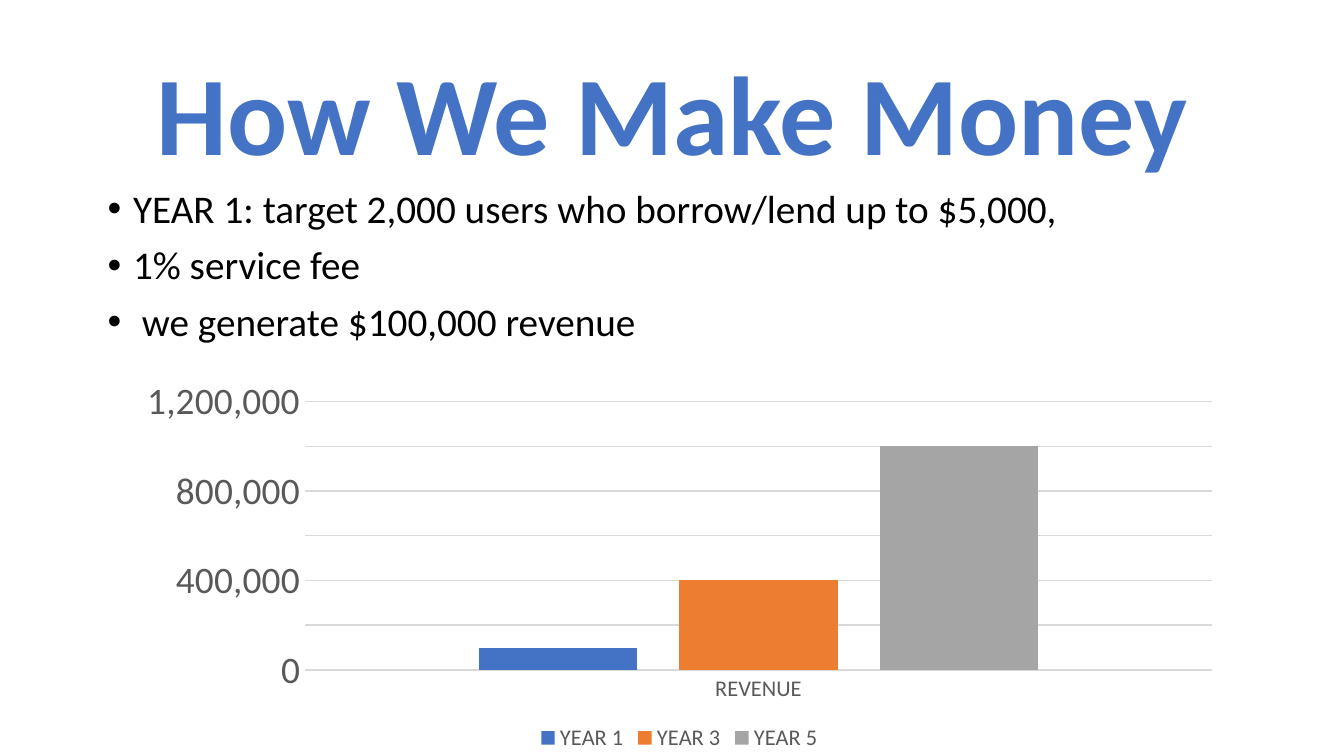
"""Build the revenue model slide with a bulleted list and a column chart."""
import pptx
import pptx.chart.data
import pptx.dml.color
import pptx.enum.chart
import pptx.enum.text
import pptx.oxml
import pptx.util

Inches = pptx.util.Inches
Pt = pptx.util.Pt
RGBColor = pptx.dml.color.RGBColor

TITLE = "How We Make Money"
BULLETS = [
    "YEAR 1: target 2,000 users who borrow/lend up to $5,000,",
    "1% service fee",
    " we generate $100,000 revenue",
]
FONT = "Calibri"
BLUE = RGBColor(0x44, 0x72, 0xC4)
ORANGE = RGBColor(0xED, 0x7D, 0x31)
GRAY = RGBColor(0xA5, 0xA5, 0xA5)
BLACK = RGBColor(0, 0, 0)
LABEL = RGBColor(0x59, 0x59, 0x59)
RULE = RGBColor(0xD9, 0xD9, 0xD9)
REVENUE = [
    ("YEAR 1", 100000, BLUE),
    ("YEAR 3", 400000, ORANGE),
    ("YEAR 5", 1000000, GRAY),
]


def set_font(font, size, color, bold=False):
    font.name = FONT
    font.size = Pt(size)
    font.color.rgb = color
    font.bold = bold


def place(sp, left, top, width, height):
    sp.left, sp.top = Inches(left), Inches(top)
    sp.width, sp.height = Inches(width), Inches(height)


def set_line(line):
    line.color.rgb = RULE
    line.width = Pt(0.75)


def add_bullet(p):
    p_pr = p._p.get_or_add_pPr()
    p_pr.set("marL", str(Inches(0.19)))
    p_pr.set("indent", str(-Inches(0.19)))
    for tag, key, value in [("buFont", "typeface", "Arial"), ("buChar", "char", "•")]:
        child = pptx.oxml.parse_xml(
            f'<a:{tag} xmlns:a="http://schemas.openxmlformats.org/drawingml/2006/main" {key}="{value}"/>'
        )
        p_pr.insert_element_before(child, "a:tabLst", "a:defRPr", "a:extLst")


def add_title(s):
    sp = s.shapes.title
    place(sp, 0.69, 0.3, 8.62, 1.09)
    tf = sp.text_frame
    tf.text = TITLE
    tf.auto_size = pptx.enum.text.MSO_AUTO_SIZE.NONE
    tf.vertical_anchor = pptx.enum.text.MSO_ANCHOR.BOTTOM
    p = tf.paragraphs[0]
    p.alignment = pptx.enum.text.PP_ALIGN.CENTER
    p.line_spacing = 0.9
    set_font(p.font, 60, BLUE, bold=True)


def add_list(s):
    sp = s.placeholders[1]
    place(sp, 0.7, 1.36, 8.62, 3.57)
    tf = sp.text_frame
    tf.text = "\n".join(BULLETS)
    tf.auto_size = pptx.enum.text.MSO_AUTO_SIZE.NONE
    for p in tf.paragraphs:
        p.line_spacing = 0.9
        p.space_before = Pt(7.5)
        set_font(p.font, 21, BLACK)
        add_bullet(p)


def add_revenue_chart(s):
    data = pptx.chart.data.CategoryChartData(number_format="#,##0")
    data.categories = ["REVENUE"]
    for name, value, _ in REVENUE:
        data.add_series(name, [value])
    chart = s.shapes.add_chart(
        pptx.enum.chart.XL_CHART_TYPE.COLUMN_CLUSTERED,
        Inches(0.93), Inches(2.76), Inches(8.25), Inches(2.87), data,
    ).chart
    set_font(chart.font, 10, BLACK)
    chart.has_title = False
    chart.has_legend = True
    chart.legend.position = pptx.enum.chart.XL_LEGEND_POSITION.BOTTOM
    chart.legend.include_in_layout = False
    set_font(chart.legend.font, 12, LABEL)

    plot = chart.plots[0]
    plot.gap_width, plot.overlap = 219, -27
    plot.vary_by_categories = False
    for series, (_, _, color) in zip(plot.series, REVENUE):
        series.format.fill.solid()
        series.format.fill.fore_color.rgb = color

    category, value = chart.category_axis, chart.value_axis
    for axis, size in [(category, 12), (value, 20)]:
        axis.major_tick_mark = pptx.enum.chart.XL_TICK_MARK.NONE
        axis.minor_tick_mark = pptx.enum.chart.XL_TICK_MARK.NONE
        set_font(axis.tick_labels.font, size, LABEL)
    set_line(category.format.line)
    value.format.line.fill.background()
    value.has_major_gridlines = True
    set_line(value.major_gridlines.format.line)
    value.minimum_scale, value.maximum_scale = 0, 1200000
    value.major_unit = 200000
    value.tick_labels.number_format = "#,##0"
    value.tick_labels.number_format_is_linked = False


def main():
    prs = pptx.Presentation()
    prs.slide_width = Inches(10)
    prs.slide_height = prs.slide_width * 9 // 16
    s = prs.slides.add_slide(prs.slide_layouts[1])
    add_title(s)
    add_list(s)
    add_revenue_chart(s)
    prs.save("out.pptx")


if __name__ == "__main__":
    main()
